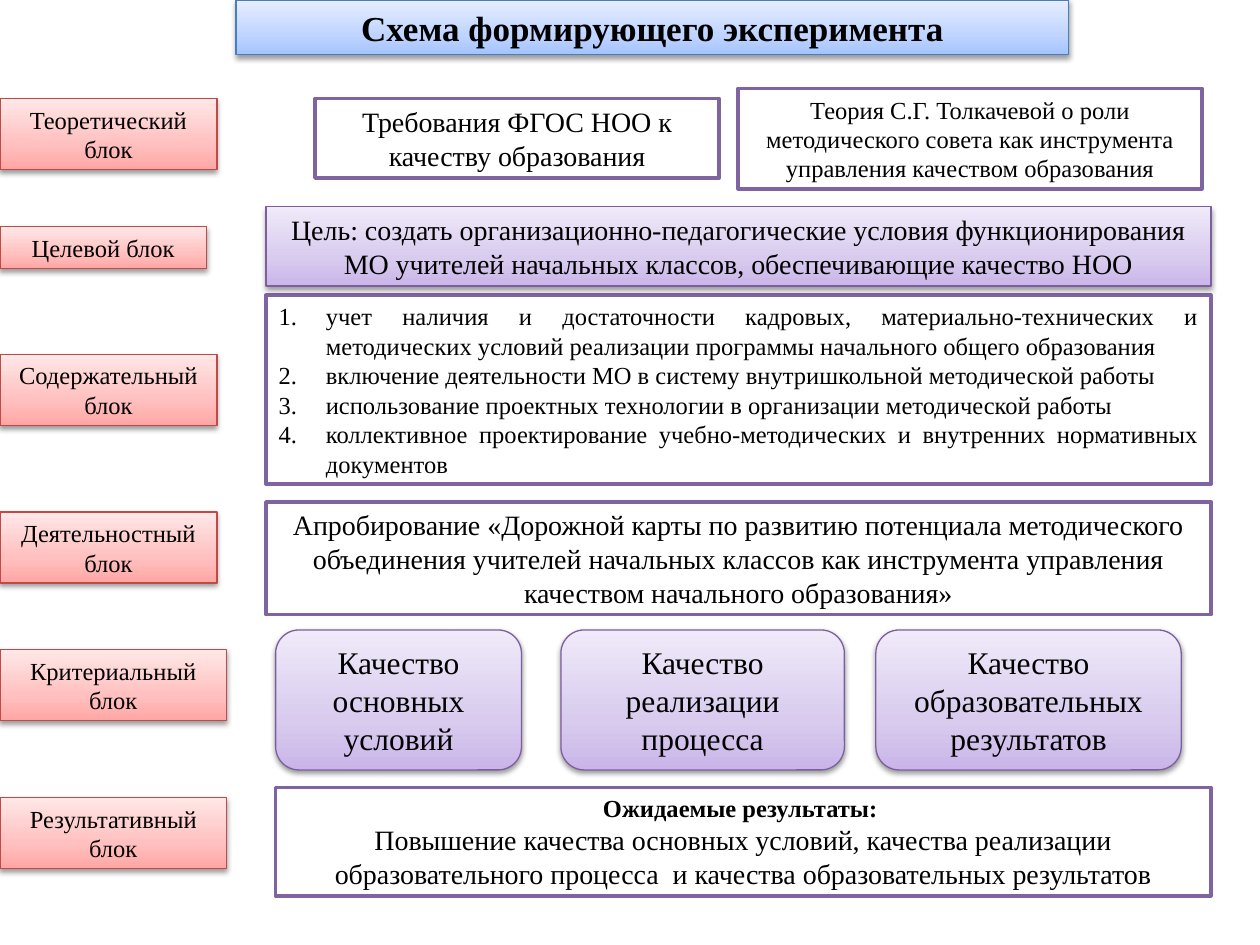
"""Build a one-slide block diagram of a formative experiment."""
from copy import deepcopy

from lxml.etree import SubElement
from pptx import Presentation
from pptx.dml.color import RGBColor
from pptx.enum.shapes import MSO_SHAPE as SHAPE
from pptx.enum.text import MSO_ANCHOR as ANCHOR, MSO_AUTO_SIZE as AUTO_SIZE, PP_ALIGN as ALIGN
from pptx.oxml.ns import qn
from pptx.util import Pt

FONT = "Times New Roman"
BLUE = ("4A7EBB", ("A4C4FF", "BFD4FF", "E6EEFF"))
PURPLE = ("7D5FA0", ("C9B5E8", "D8CBEE", "F0EAF9"))
RED = ("BE4B48", ("FFA6A5", "FFC0BF", "FFE7E7"))
OUTLINE = ("8064A2", None)


def color(value):
    """Turn a hex string into a colour."""
    return RGBColor.from_string(value)


def format_box(shape, place, style, paragraphs, align=ALIGN.CENTER):
    """Place and paint a box, then write (text, size, bold) paragraphs in it."""
    shape.left, shape.top, shape.width, shape.height = map(Pt, place)
    line_color, gradient = style
    shape.line.color.rgb = color(line_color)
    shape.line.width = Pt(0.75 if gradient else 2)
    properties = shape._element.spPr
    if gradient:
        shape.fill.gradient()
        shape.fill.gradient_angle = 90
        stop_list = properties.find(qn("a:gradFill")).find(qn("a:gsLst"))
        stop_list.insert(1, deepcopy(stop_list[0]))
        for stop, position, value in zip(shape.fill.gradient_stops, (0, 0.35, 1), gradient):
            stop.position = position
            stop.color.rgb = color(value)
    else:
        shape.fill.solid()
        shape.fill.fore_color.rgb = color("FFFFFF")
    effects = properties.find(qn("a:effectLst"))
    if effects is None:
        effects = SubElement(properties, qn("a:effectLst"))
    if gradient:
        shadow = SubElement(effects, qn("a:outerShdw"), blurRad=str(Pt(3.1)),
                            dist=str(Pt(1.6)), dir="5400000", rotWithShape="0")
        shadow_color = SubElement(shadow, qn("a:srgbClr"), val="000000")
        SubElement(shadow_color, qn("a:alpha"), val="38000")
    frame = shape.text_frame
    frame.word_wrap = True
    frame.auto_size = AUTO_SIZE.NONE
    frame.vertical_anchor = ANCHOR.MIDDLE
    for index, (text, size, bold) in enumerate(paragraphs):
        paragraph = frame.add_paragraph() if index else frame.paragraphs[0]
        paragraph.alignment = align
        paragraph.space_before = Pt(0)
        run = paragraph.add_run()
        run.text = text
        run.font.name = FONT
        run.font.size = Pt(size)
        run.font.bold = bold
        run.font.color.rgb = color("000000")


presentation = Presentation()
presentation.slide_width, presentation.slide_height = Pt(720), Pt(540)
slide = presentation.slides.add_slide(presentation.slide_layouts[1])
title, tasks = slide.placeholders

format_box(title, (134.8, 0, 476, 31), BLUE, [("Схема формирующего эксперимента", 20, True)])

task_texts = [
    "учет наличия и достаточности кадровых, материально-технических и методических условий "
    "реализации программы начального общего образования",
    "включение деятельности МО в систему внутришкольной методической работы",
    "использование проектных технологии в организации методической работы",
    "коллективное проектирование учебно-методических и внутренних нормативных документов",
]
format_box(tasks, (152, 168.7, 540, 108), OUTLINE,
           [(text, 14, False) for text in task_texts], ALIGN.JUSTIFY)
for paragraph in tasks.text_frame.paragraphs:
    numbering = paragraph._p.get_or_add_pPr()
    numbering.set("marL", str(Pt(27)))
    numbering.set("indent", str(Pt(-27)))
    SubElement(numbering, qn("a:buFont"), typeface=FONT)
    SubElement(numbering, qn("a:buAutoNum"), type="arabicPeriod")

block_labels = [
    ("Теоретический блок", 56.3, 124, 40.5),
    ("Целевой блок", 129.5, 118, 24),
    ("Содержательный блок", 202.5, 124, 40.5),
    ("Деятельностный блок", 292.6, 124, 40.5),
    ("Критериальный блок", 371.3, 129.5, 40.5),
    ("Результативный блок", 455.7, 129.5, 40.5),
]
criteria = [
    ("Качество основных условий", 157.5, 140.5),
    ("Качество реализации процесса", 320.5, 162),
    ("Качество образовательных результатов", 500.5, 174.5),
]
boxes = [
    (SHAPE.RECTANGLE, (180, 56.3, 231, 45.5), OUTLINE,
     [("Требования ФГОС НОО к качеству образования", 16, False)]),
    (SHAPE.RECTANGLE, (421.8, 50.5, 265, 57.5), OUTLINE,
     [("Теория С.Г. Толкачевой о роли методического совета как инструмента "
       "управления качеством образования", 14, False)]),
    (SHAPE.RECTANGLE, (152, 118, 540, 45.5), PURPLE,
     [("Цель: создать организационно-педагогические условия функционирования МО учителей "
       "начальных классов, обеспечивающие качество НОО", 16, False)]),
    (SHAPE.RECTANGLE, (152, 286.8, 540, 64.5), OUTLINE,
     [("Апробирование «Дорожной карты по развитию потенциала методического объединения "
       "учителей начальных классов как инструмента управления качеством начального "
       "образования»", 16, False)]),
    (SHAPE.RECTANGLE, (157.5, 450, 534.5, 62), OUTLINE,
     [("Ожидаемые результаты: ", 14, True),
      ("Повышение качества основных условий, качества реализации образовательного процесса  "
       "и качества образовательных результатов", 16, False)]),
]
boxes += [(SHAPE.RECTANGLE, (0, top, width, height), RED, [(text, 14, False)])
          for text, top, width, height in block_labels]
boxes += [(SHAPE.ROUNDED_RECTANGLE, (left, 360, width, 80), PURPLE, [(text, 18, False)])
          for text, left, width in criteria]
for kind, place, style, paragraphs in boxes:
    shape = slide.shapes.add_shape(kind, *map(Pt, place))
    shape.shadow.inherit = False
    format_box(shape, place, style, paragraphs)

presentation.save("out.pptx")
